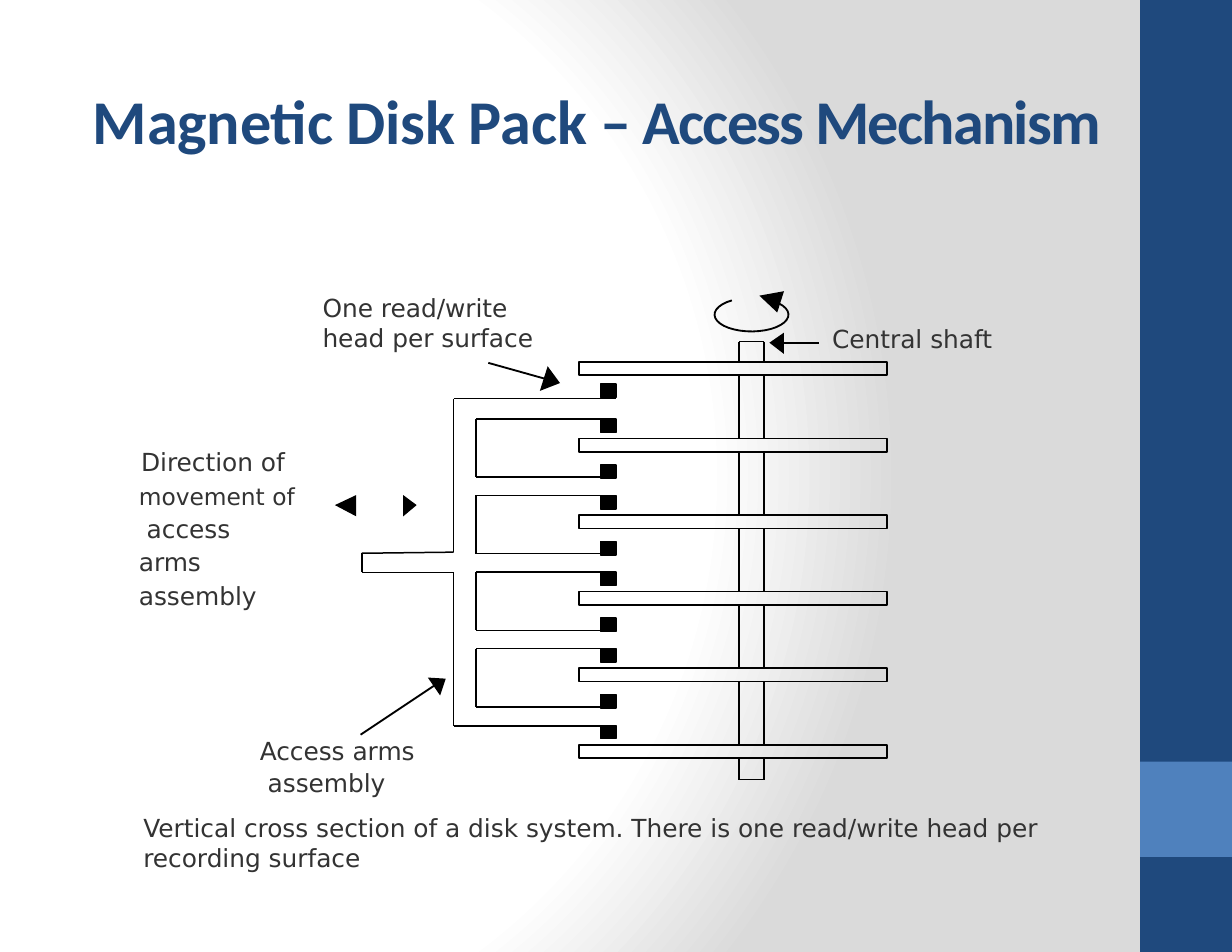
import math
from dataclasses import dataclass

from pptx import Presentation
from pptx.dml.color import RGBColor
from pptx.enum.shapes import MSO_CONNECTOR, MSO_SHAPE
from pptx.enum.text import MSO_ANCHOR, MSO_AUTO_SIZE, PP_ALIGN
from pptx.oxml import parse_xml
from pptx.oxml.ns import nsdecls, qn
from pptx.oxml.xmlchemy import OxmlElement
from pptx.util import Inches, Pt

RECTANGLE = MSO_SHAPE.RECTANGLE
STRAIGHT = MSO_CONNECTOR.STRAIGHT
LEFT = PP_ALIGN.LEFT
TOP, MIDDLE = MSO_ANCHOR.TOP, MSO_ANCHOR.MIDDLE
NO_AUTOFIT = MSO_AUTO_SIZE.NONE


@dataclass(frozen=True)
class Theme:
    navy: str = "1F497D"
    blue: str = "4F81BD"
    ink: str = "000000"
    text: str = "333333"
    white: str = "FFFFFF"
    gray: str = "DADADA"
    title_font: str = "Calibri"
    label_font: str = "DejaVu Sans"
    title_size: int = 40
    label_size: int = 16
    small_size: int = 15
    outline: float = 0.96
    pointer: float = 1.2


class SlideBuilder:
    def __init__(self, slide, theme):
        self.slide = slide
        self.theme = theme

    def background(self):
        fill = self.slide.background.fill
        fill.gradient()
        gradient = self.slide.element.find(".//" + qn("a:gradFill"))
        stops = [(0, self.theme.white), (75, self.theme.white), (100, self.theme.gray)]
        stop_xml = "".join(
            f'<a:gs pos="{position * 1000}"><a:srgbClr val="{color}"/></a:gs>'
            for position, color in stops
        )
        gradient.getparent().replace(gradient, parse_xml(
            f'<a:gradFill {nsdecls("a")} rotWithShape="1"><a:gsLst>{stop_xml}</a:gsLst>'
            '<a:path path="circle"><a:fillToRect l="20000" t="50000" r="100000" b="50000"/>'
            '</a:path></a:gradFill>'
        ))

    def paint(self, shape, fill=None, line=None, width=None):
        if fill:
            shape.fill.solid()
            shape.fill.fore_color.rgb = RGBColor.from_string(fill)
        else:
            shape.fill.background()
        if line:
            shape.line.color.rgb = RGBColor.from_string(line)
            shape.line.width = Pt(width or self.theme.outline)
        else:
            shape.line.fill.background()
        shape.shadow.inherit = False

    def rectangle(self, left, top, width, height, **style):
        box = [Inches(value) for value in (left, top, width, height)]
        self.paint(self.slide.shapes.add_shape(RECTANGLE, *box), **style)

    def line(self, x1, y1, x2, y2, width=None):
        ends = [Inches(value) for value in (x1, y1, x2, y2)]
        connector = self.slide.shapes.add_connector(STRAIGHT, *ends)
        connector.line.color.rgb = RGBColor.from_string(self.theme.ink)
        connector.line.width = Pt(width or self.theme.outline)
        connector._element.spPr.append(OxmlElement("a:effectLst"))

    def outline(self, points, close=False, **style):
        start, *rest = [(Inches(x), Inches(y)) for x, y in points]
        builder = self.slide.shapes.build_freeform(*start, scale=1.0)
        builder.add_line_segments(rest, close=close)
        self.paint(builder.convert_to_shape(), **style)

    def frame(self, shape, anchor, inset):
        frame = shape.text_frame
        values = {
            "word_wrap": True, "auto_size": NO_AUTOFIT, "vertical_anchor": anchor,
            "margin_left": 0, "margin_right": 0, "margin_bottom": 0,
            "margin_top": Inches(inset),
        }
        for name, value in values.items():
            setattr(frame, name, value)
        return frame

    def add_text(self, paragraph, text, font, size, color, bold=False, spacing=0):
        run = paragraph.add_run()
        run.text = text
        for name, value in {"name": font, "size": Pt(size), "bold": bold}.items():
            setattr(run.font, name, value)
        run.font.color.rgb = RGBColor.from_string(color)
        if spacing:
            run._r.get_or_add_rPr().set("spc", str(spacing))

    def label(self, left, top, width, height, lines, inset=0.02):
        box = [Inches(value) for value in (left, top, width, height)]
        frame = self.frame(self.slide.shapes.add_textbox(*box), TOP, inset)
        for index, (text, indent, options) in enumerate(lines):
            paragraph = frame.add_paragraph() if index else frame.paragraphs[0]
            paragraph._p.get_or_add_pPr().set("marL", str(Inches(indent)))
            values = {
                "alignment": LEFT,
                "line_spacing": options.get("spacing", 1.0),
                "space_before": Pt(options.get("before", 0)),
            }
            for name, value in values.items():
                setattr(paragraph, name, value)
            size = options.get("size", self.theme.label_size)
            self.add_text(paragraph, text, self.theme.label_font, size, self.theme.text)

    def title(self, left, top, width, height, runs):
        shape = self.slide.shapes.title
        values = {"left": left, "top": top, "width": width, "height": height}
        for name, value in values.items():
            setattr(shape, name, Inches(value))
        paragraph = self.frame(shape, MIDDLE, 0.01).paragraphs[0]
        paragraph.alignment = LEFT
        paragraph._p.get_or_add_pPr().set("marL", str(Inches(0.01)))
        for text, spacing in runs:
            self.add_text(paragraph, text, self.theme.title_font, self.theme.title_size,
                          self.theme.navy, True, spacing)


def draw_access_arms(builder, pitch):
    ink = builder.theme.ink
    spine, inner, tip = 4.05, 4.25, 5.5
    for ends in [
        (3.23, 4.94, 3.23, 5.11), (3.23, 5.11, spine, 5.11), (3.23, 4.94, spine, 4.93),
        (spine, 4.93, spine, 3.56), (spine, 6.48, spine, 5.11),
        (spine, 3.56, tip, 3.56), (spine, 6.48, tip, 6.48),
    ]:
        builder.line(*ends)
    for index in range(4):
        top = 3.74 + index * pitch
        bottom = top + 0.52
        builder.line(inner, top, tip, top)
        builder.line(inner, top, inner, bottom)
        builder.line(inner, bottom, tip, bottom)
    upper_heads = [3.43] + [4.15 + index * pitch for index in range(4)]
    lower_heads = [3.74 + index * pitch for index in range(5)]
    for top in upper_heads + lower_heads:
        builder.rectangle(5.36, top, 0.14, 0.12, fill=ink, line=ink)


def draw_disk_pack(builder, pitch):
    thickness, shaft_top, shaft_bottom = 0.12, 3.05, 6.96
    shaft_left, shaft_right = 6.6, 6.82
    disks = [3.23 + index * pitch for index in range(6)]
    for top in disks:
        builder.rectangle(5.17, top, 2.75, thickness, line=builder.theme.ink)
    starts = [shaft_top] + [top + thickness for top in disks]
    for start, end in zip(starts, disks + [shaft_bottom]):
        for x in (shaft_left, shaft_right):
            builder.line(x, start, x, end)
    for y in (shaft_top, shaft_bottom):
        builder.line(shaft_left, y, shaft_right, y)


def draw_pointers(builder):
    theme = builder.theme
    for ends in [(4.36, 3.24, 4.86, 3.38), (7.31, 3.06, 6.99, 3.06), (3.22, 6.56, 3.88, 6.12)]:
        builder.line(*ends, width=theme.pointer)
    angles = [math.radians(degrees) for degrees in range(-42, 240, 10)]
    rotation = [(6.71 + 0.33 * math.cos(a), 2.81 + 0.15 * math.sin(a)) for a in angles]
    builder.outline(rotation, line=theme.ink, width=theme.pointer)
    for arrowhead in [
        [(4.89, 3.27), (4.82, 3.49), (5, 3.42)],
        [(7, 2.97), (6.87, 3.06), (7, 3.16)],
        [(3.18, 4.42), (2.99, 4.51), (3.18, 4.61)],
        [(3.6, 4.42), (3.6, 4.61), (3.72, 4.51)],
        [(3.82, 6.05), (3.93, 6.21), (3.98, 6.06)],
        [(7, 2.6), (6.78, 2.64), (6.94, 2.79)],
    ]:
        builder.outline(arrowhead, close=True, fill=theme.ink)


def main():
    presentation = Presentation()
    presentation.slide_width, presentation.slide_height = Inches(11), Inches(8.5)
    theme = Theme()
    builder = SlideBuilder(presentation.slides.add_slide(presentation.slide_layouts[5]), theme)
    builder.background()
    builder.rectangle(10.18, 0, 0.82, 8.5, fill=theme.navy)
    builder.rectangle(10.18, 6.8, 0.82, 0.85, fill=theme.blue)
    pitch = 0.684
    draw_access_arms(builder, pitch)
    draw_disk_pack(builder, pitch)
    draw_pointers(builder)
    loose = {"spacing": 1.12}
    builder.label(7.42, 2.87, 1.47, 0.3, [("Central shaft", 0.01, {})])
    builder.label(2.87, 2.59, 1.91, 0.56, [("One read/write head per surface", 0.01, {})])
    builder.label(1.22, 3.94, 1.44, 1.51, [
        ("Direction of", 0.04, loose),
        ("movement of", 0.02, {"spacing": 1.18, "size": theme.small_size}),
        ("access", 0.09, loose), ("arms", 0.02, loose), ("assembly", 0.02, loose),
    ])
    builder.label(1.27, 6.52, 8.14, 1.28, [
        ("Access arms", 1.05, {"spacing": 1.09}),
        ("assembly", 1.12, {"spacing": 1.09}),
        ("Vertical cross section of a disk system. There is one read/write head per "
         "recording surface", 0.01, {"before": 9.8}),
    ])
    builder.title(0.82, 0.72, 9.43, 0.69,
                  [("Magnetic Disk Pack ", -10), ("– Access Mechanism", -110)])
    presentation.save("out.pptx")


if __name__ == "__main__":
    main()
